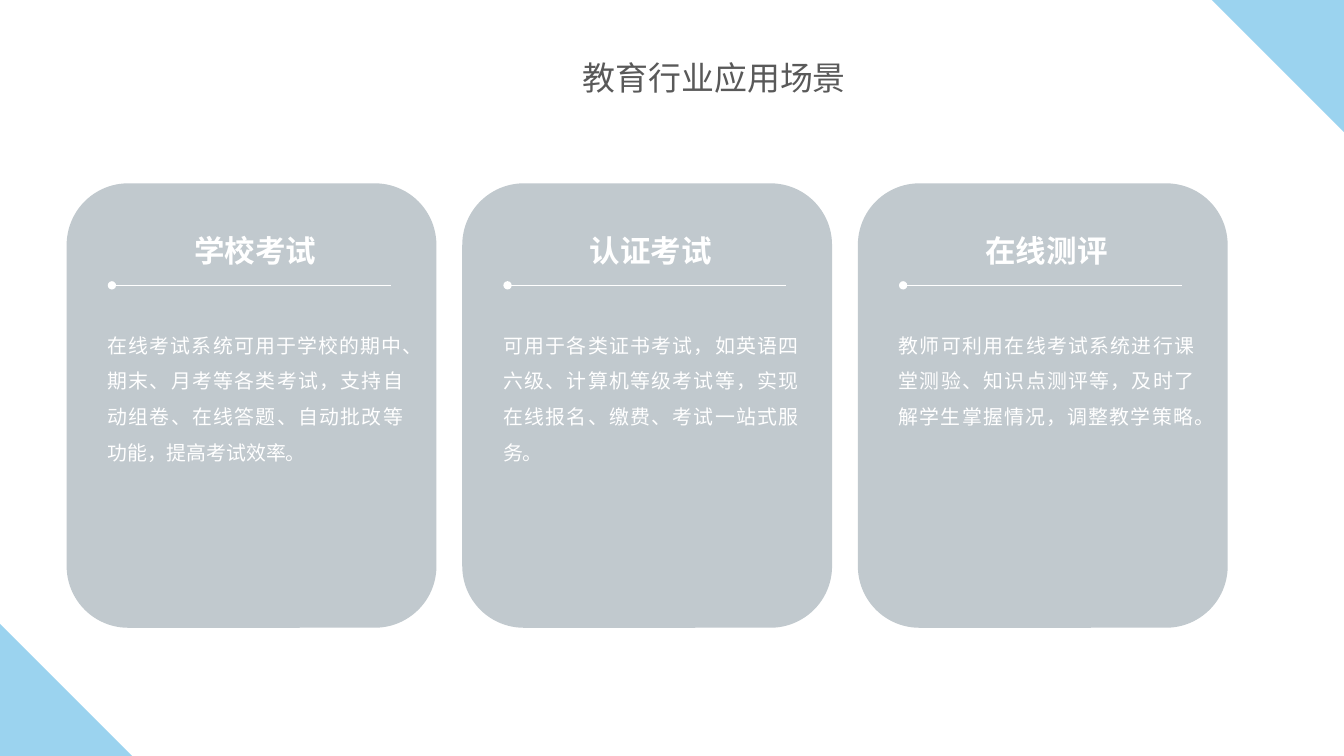
from dataclasses import dataclass

from lxml import etree
from pptx import Presentation
from pptx import util as u
from pptx.dml.color import RGBColor
from pptx.enum import shapes, text
from pptx.oxml.ns import qn

FONT = "Noto Sans CJK SC"
WHITE = RGBColor(0xFF, 0xFF, 0xFF)
SKY = RGBColor(0x9B, 0xD3, 0xEF)
SILVER = RGBColor(0xC1, 0xC9, 0xCE)
GRAY = RGBColor(0x59, 0x59, 0x59)

SLIDE_W, SLIDE_H = 33.87, 19.05
CORNER = 3.33
CARD_LEFT, CARD_TOP, CARD_STEP = 1.68, 4.62, 9.97
CARD_W, CARD_H = 9.32, 11.2


@dataclass(frozen=True)
class Card:
    heading: str
    body: str


@dataclass(frozen=True)
class Style:
    size: float
    color: RGBColor
    align: text.PP_ALIGN
    spacing: float
    bold: bool = False


TITLE = Style(23.5, GRAY, text.PP_ALIGN.LEFT, 0.8)
HEADING = Style(21.8, WHITE, text.PP_ALIGN.CENTER, 1.86, True)
BODY = Style(14.2, WHITE, text.PP_ALIGN.JUSTIFY, 1.5)

CARDS = [
    Card("学校考试", "在线考试系统可用于学校的期中、期末、月考等各类考试，支持自动组卷、在线答题、自动批改等功能，提高考试效率。"),
    Card("认证考试", "可用于各类证书考试，如英语四六级、计算机等级考试等，实现在线报名、缴费、考试一站式服务。"),
    Card("在线测评", "教师可利用在线考试系统进行课堂测验、知识点测评等，及时了解学生掌握情况，调整教学策略。"),
]


def write(tf, content: str, style: Style) -> None:
    tf.word_wrap = True
    tf.auto_size = text.MSO_AUTO_SIZE.NONE
    tf.vertical_anchor = text.MSO_ANCHOR.TOP
    p = tf.paragraphs[0]
    p.text = content
    p.alignment = style.align
    p.line_spacing = style.spacing
    p.font.size = u.Pt(style.size)
    p.font.bold = style.bold
    p.font.color.rgb = style.color
    p.font.name = FONT
    ea = etree.SubElement(p.font._element, qn("a:ea"))
    ea.set("typeface", FONT)


def add_box(s, x: float, y: float, w: float, h: float, content: str, style: Style) -> None:
    tf = s.shapes.add_textbox(u.Cm(x), u.Cm(y), u.Cm(w), u.Cm(h)).text_frame
    tf.margin_left = tf.margin_top = tf.margin_bottom = u.Cm(0.35)
    tf.margin_right = u.Cm(0.15)
    write(tf, content, style)


def add_filled(s, kind: shapes.MSO_SHAPE, x: float, y: float, w: float, h: float, color: RGBColor):
    sp = s.shapes.add_shape(kind, u.Cm(x), u.Cm(y), u.Cm(w), u.Cm(h))
    sp.shadow.inherit = False
    sp.fill.solid()
    sp.fill.fore_color.rgb = color
    sp.line.fill.background()
    return sp


def add_rule(s, x: float, y: float, length: float) -> None:
    rule = s.shapes.add_connector(shapes.MSO_CONNECTOR.STRAIGHT, u.Cm(x), u.Cm(y), u.Cm(x + length), u.Cm(y))
    rule.line.color.rgb = WHITE
    rule.line.width = u.Pt(0.75)
    etree.SubElement(rule.line._get_or_add_ln(), qn("a:headEnd")).set("type", "oval")
    etree.SubElement(rule._element.spPr, qn("a:effectLst"))


def add_card(s, x: float, card: Card) -> None:
    add_filled(s, shapes.MSO_SHAPE.ROUNDED_RECTANGLE, x, CARD_TOP, CARD_W, CARD_H, SILVER)
    add_rule(s, x + 1.14, 7.19, 7.03)
    add_box(s, x + 1.19, 4.7, 6.93, 2.46, card.heading, HEADING)
    add_box(s, x + 0.68, 7.75, 7.95, 7.29, card.body, BODY)


def main() -> None:
    prs = Presentation()
    prs.slide_width, prs.slide_height = u.Cm(SLIDE_W), u.Cm(SLIDE_H)
    s = prs.slides.add_slide(prs.slide_layouts[5])

    triangle = shapes.MSO_SHAPE.RIGHT_TRIANGLE
    add_filled(s, triangle, 0, SLIDE_H - CORNER, CORNER, CORNER, SKY)
    top = add_filled(s, triangle, SLIDE_W - CORNER, 0, CORNER, CORNER, SKY)
    top.rotation = 180

    for i, card in enumerate(CARDS):
        add_card(s, CARD_LEFT + i * CARD_STEP, card)

    title = s.shapes.title
    title.left, title.top, title.width, title.height = u.Cm(14.43), u.Cm(1.52), u.Cm(7.19), u.Cm(1.45)
    write(title.text_frame, "教育行业应用场景", TITLE)
    prs.save("out.pptx")


if __name__ == "__main__":
    main()
